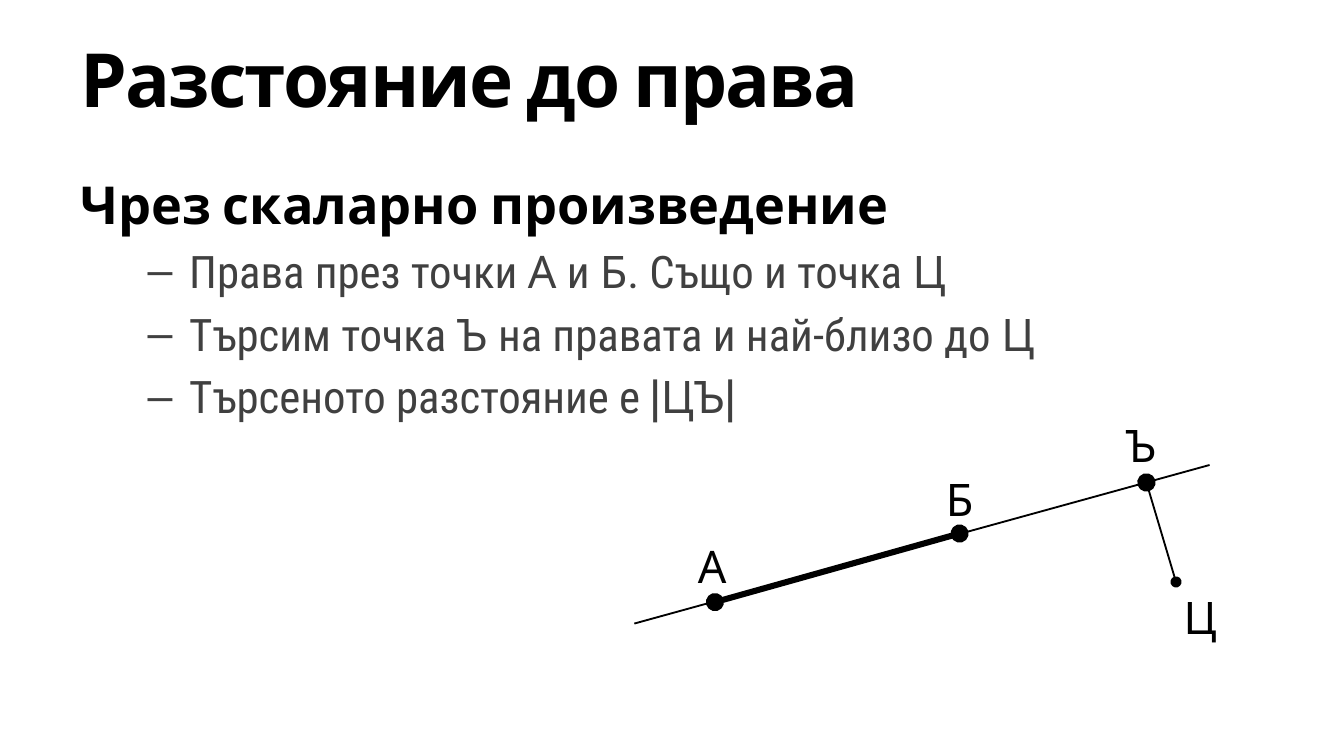
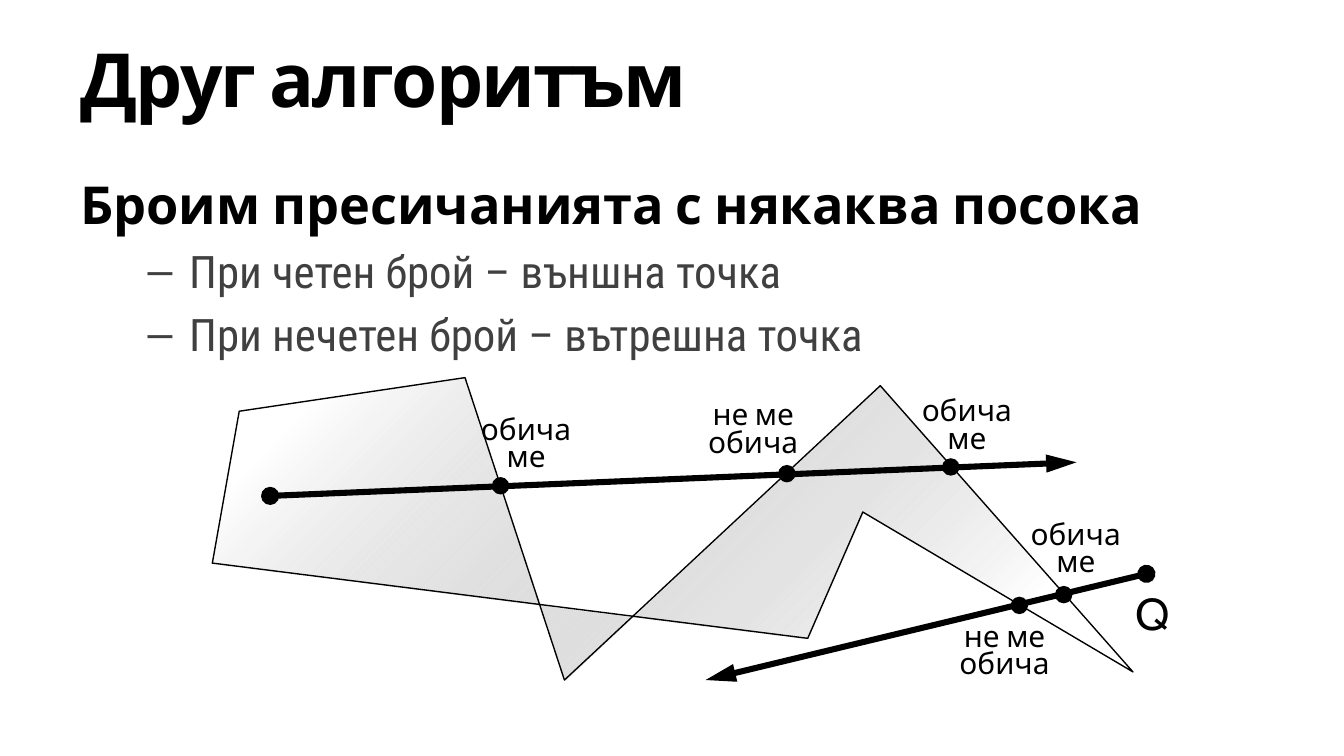
from dataclasses import dataclass
from itertools import cycle
from typing import NamedTuple, Sequence

from lxml.etree import SubElement
from pptx import Presentation
from pptx.dml.color import RGBColor
from pptx.enum.shapes import MSO_CONNECTOR, MSO_SHAPE
from pptx.enum.text import MSO_ANCHOR, MSO_AUTO_SIZE, PP_ALIGN
from pptx.oxml import parse_xml
from pptx.oxml.ns import nsdecls, qn
from pptx.util import Emu, Pt

PX = 9144  # 100 px to the inch
HEADING_FONT = "Cabin"
BODY_FONT = "Roboto Condensed"
BLACK = "000000"
GREY = "404040"
WHITE = "FFFFFF"
THIN, THICK = 1, 3.25


class Point(NamedTuple):
    x: int
    y: int


class Box(NamedTuple):
    left: int
    top: int
    width: int
    height: int


class LineEnd(NamedTuple):
    kind: str
    length: str = "med"
    width: str = "med"


TITLE_BOX = Box(50, 15, 950, 85)
BODY_BOX = Box(50, 123, 950, 408)
DOT_END = LineEnd("oval")
LARGE_DOT_END = LineEnd("oval", "lg", "lg")
ARROW_END = LineEnd("triangle", "lg")


@dataclass(frozen=True)
class Line:
    start: Point
    end: Point
    width: float
    head: LineEnd | None = None
    tail: LineEnd | None = None


@dataclass(frozen=True)
class Letter:
    text: str
    left: int
    top: int
    width: int = 58


@dataclass(frozen=True)
class Caption:
    """A two-line remark beside a crossing."""
    lines: tuple[str, str]
    left: int
    top: int


def px(length: int) -> Emu:
    return Emu(length * PX)


def color(value: str) -> RGBColor:
    return RGBColor.from_string(value)


def write(paragraph, *pieces: str, size: float, fonts: Sequence[str] = (HEADING_FONT,),
          fill: str = BLACK, bold: bool = False, align=PP_ALIGN.LEFT, before: float = 0,
          line_height: float = 0, bullet: bool = False, tracking: int = 0) -> None:
    """Fill a paragraph with pieces of text that take the fonts in turn."""
    paragraph.alignment = align
    paragraph.space_before = Pt(before)
    if line_height:
        paragraph.line_spacing = Pt(line_height)
    if bullet:
        properties = paragraph._p.get_or_add_pPr()
        properties.set("marL", str(px(81)))
        properties.set("indent", str(px(-31)))
        SubElement(properties, qn("a:buFont")).set("typeface", "Arial")
        SubElement(properties, qn("a:buChar")).set("char", "–")
    for piece, font_name in zip(pieces, cycle(fonts)):
        run = paragraph.add_run()
        run.text = piece
        run.font.name = font_name
        run.font.size = Pt(size)
        run.font.bold = bold
        run.font.color.rgb = color(fill)
        if tracking:
            run.font._element.set("spc", str(tracking))


def add_text_frame(slide, box: Box, anchor=MSO_ANCHOR.TOP):
    frame = slide.shapes.add_textbox(*map(px, box)).text_frame
    frame.word_wrap = True
    frame.vertical_anchor = anchor
    return frame


def add_title(slide, text: str) -> None:
    title = slide.shapes.title
    title.left, title.top, title.width, title.height = map(px, TITLE_BOX)
    frame = title.text_frame
    frame.auto_size = MSO_AUTO_SIZE.NONE
    frame.vertical_anchor = MSO_ANCHOR.MIDDLE
    write(frame.paragraphs[0], text, size=40, bold=True, tracking=-100)


def add_body(slide, heading: str, points: Sequence[Sequence[str]]) -> None:
    frame = add_text_frame(slide, BODY_BOX)
    write(frame.paragraphs[0], heading, size=28, bold=True)
    for pieces in points:
        write(frame.add_paragraph(), *pieces, size=24, fonts=(BODY_FONT, HEADING_FONT),
              fill=GREY, before=4.8, bullet=True)


def add_letter(slide, letter: Letter) -> None:
    frame = add_text_frame(slide, Box(letter.left, letter.top, letter.width, 56))
    write(frame.paragraphs[0], letter.text, size=24, align=PP_ALIGN.CENTER)


def add_caption(slide, caption: Caption) -> None:
    frame = add_text_frame(slide, Box(caption.left, caption.top, 117, 62), MSO_ANCHOR.MIDDLE)
    first, second = caption.lines
    shared = dict(size=16, align=PP_ALIGN.CENTER, line_height=12)
    write(frame.paragraphs[0], first, **shared)
    write(frame.add_paragraph(), second, before=2.8, **shared)


def add_line(slide, line: Line) -> None:
    connector = slide.shapes.add_connector(
        MSO_CONNECTOR.STRAIGHT, *map(px, (*line.start, *line.end)))
    connector.line.color.rgb = color(BLACK)
    connector.line.width = Pt(line.width)
    outline = connector.line._get_or_add_ln()
    for tag, line_end in (("a:headEnd", line.head), ("a:tailEnd", line.tail)):
        if line_end:
            element = SubElement(outline, qn(tag))
            element.set("type", line_end.kind)
            element.set("w", line_end.width)
            element.set("len", line_end.length)
    SubElement(connector._element.spPr, qn("a:effectLst"))


def add_dot(slide, corner: Point) -> None:
    dot = slide.shapes.add_shape(MSO_SHAPE.OVAL, *map(px, (*corner, 13, 13)))
    dot.shadow.inherit = False
    dot.fill.solid()
    dot.fill.fore_color.rgb = color(BLACK)
    dot.line.fill.background()


def add_polygon(slide, corners: Sequence[Point]) -> None:
    """Draw an outline whose fill fades from white to clear grey."""
    builder = slide.shapes.build_freeform(*corners[0], scale=PX)
    builder.add_line_segments(corners[1:], close=True)
    polygon = builder.convert_to_shape()
    polygon.shadow.inherit = False
    polygon.line.color.rgb = color(BLACK)
    polygon.line.width = Pt(0.75)
    gradient = parse_xml(
        f'<a:gradFill {nsdecls("a")} rotWithShape="1"><a:gsLst>'
        f'<a:gs pos="10000"><a:srgbClr val="{WHITE}"/></a:gs>'
        '<a:gs pos="85000"><a:srgbClr val="808080"><a:alpha val="0"/></a:srgbClr></a:gs>'
        '</a:gsLst><a:lin ang="2700000" scaled="0"/></a:gradFill>')
    polygon._element.spPr.find(qn("a:custGeom")).addnext(gradient)


def add_slide(presentation, title: str, heading: str, points: Sequence[Sequence[str]]):
    slide = presentation.slides.add_slide(presentation.slide_layouts[5])
    add_title(slide, title)
    add_body(slide, heading, points)
    return slide


def build_distance_slide(presentation) -> None:
    slide = add_slide(
        presentation, "Разстояние до права", "Чрез скаларно произведение",
        [("Права през точки ", "А", " и ", "Б", ". Също и точка ", "Ц"),
         ("Търсим точка ", "Ъ", " на правата и най-близо до ", "Ц"),
         ("Търсеното разстояние е ", "|ЦЪ|")])
    for line in (
        Line(Point(472, 464), Point(900, 346), THIN),
        Line(Point(532, 448), Point(714, 397), THICK, DOT_END, DOT_END),
        Line(Point(853, 359), Point(875, 433), THIN, LARGE_DOT_END, DOT_END),
    ):
        add_line(slide, line)
    for letter in (Letter("А", 501, 396), Letter("Б", 685, 346),
                   Letter("Ъ", 820, 306), Letter("Ц", 864, 434)):
        add_letter(slide, letter)


def build_crossings_slide(presentation) -> None:
    slide = add_slide(
        presentation, "Друг алгоритъм", "Броим пресичанията с някаква посока",
        [("При четен брой – външна точка",), ("При нечетен брой – вътрешна точка",)])
    add_polygon(slide, [
        Point(843, 500), Point(642, 381), Point(601, 475), Point(158, 419),
        Point(178, 306), Point(346, 281), Point(420, 506), Point(655, 287)])
    for start, end in ((Point(201, 369), Point(801, 344)),
                       (Point(853, 427), Point(525, 506))):
        add_line(slide, Line(start, end, THICK, DOT_END, ARROW_END))
    loves, loves_not = ("обича", "ме"), ("не ме", "обича")
    for caption in (
        Caption(loves, 333, 303), Caption(loves, 661, 289), Caption(loves_not, 502, 292),
        Caption(loves, 742, 381), Caption(loves_not, 689, 457),
    ):
        add_caption(slide, caption)
    add_letter(slide, Letter("Q", 810, 431, 96))
    for corner in (Point(366, 355), Point(579, 346), Point(701, 341),
                   Point(785, 436), Point(752, 444)):
        add_dot(slide, corner)


def main() -> None:
    presentation = Presentation()
    presentation.slide_width = px(1000)
    presentation.slide_height = Emu(px(1000) * 9 // 16)
    build_distance_slide(presentation)
    build_crossings_slide(presentation)
    presentation.save("out.pptx")


if __name__ == "__main__":
    main()
